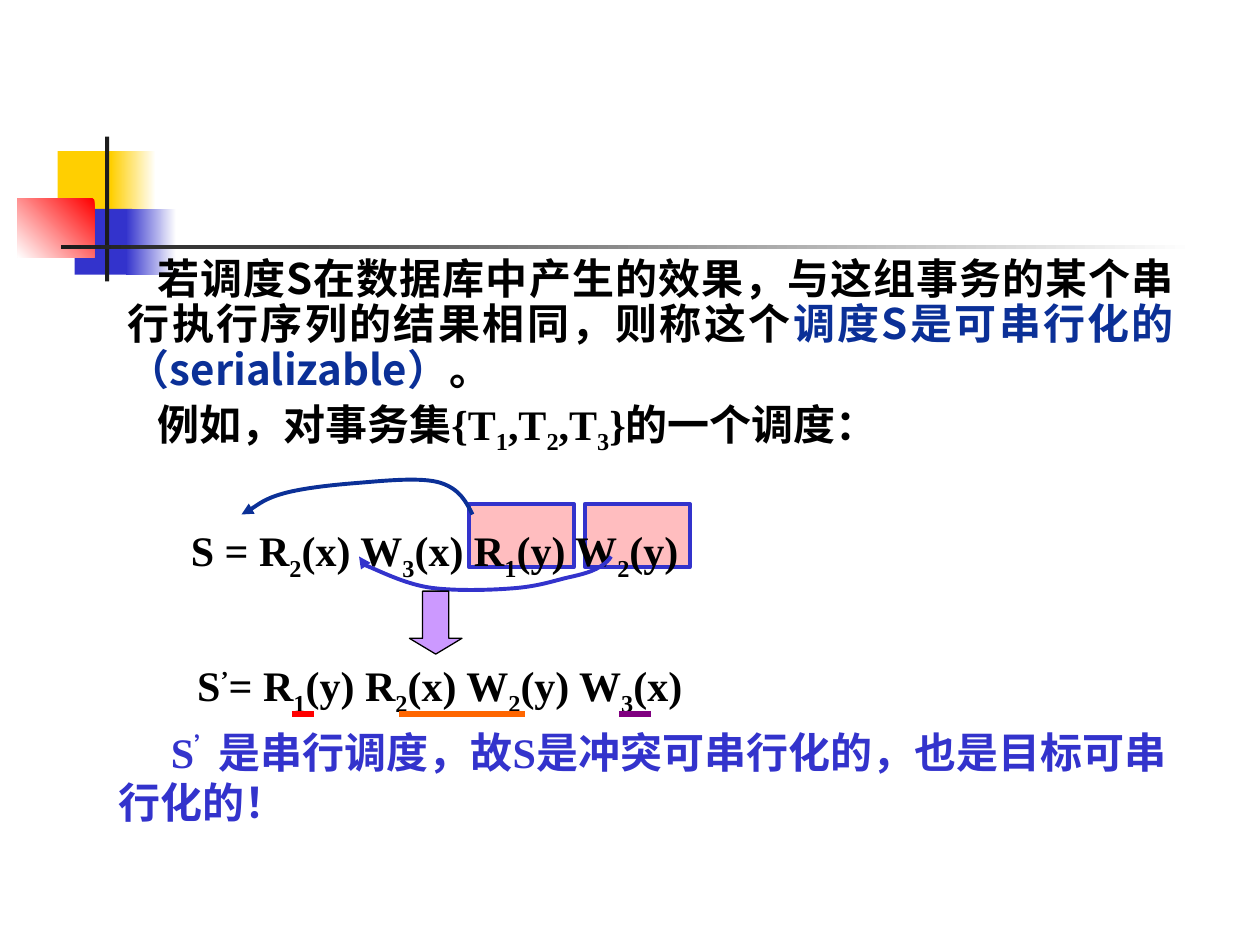
from lxml.etree import SubElement
from pptx import Presentation
from pptx.dml.color import RGBColor
from pptx.enum.shapes import MSO_CONNECTOR, MSO_SHAPE
from pptx.enum.text import MSO_AUTO_SIZE, PP_ALIGN
from pptx.oxml.ns import qn
from pptx.util import Inches, Pt

COLORS = {
    "white": "FFFFFF", "black": "000000", "ink": "1C1C1C", "yellow": "FFCF01",
    "blue": "3333CC", "navy": "0B3097", "red": "FF0000", "pink": "FF7C80",
    "lilac": "CC99FF", "orange": "FF6600", "purple": "800080",
}
COLS, ROWS = 120, 90
WIDTH, HEIGHT = Inches(10), Inches(7.5)
CJK, LATIN = "Noto Sans CJK SC", "Times New Roman"


def rgb(name):
    """Return the named palette colour."""
    return RGBColor.from_string(COLORS[name])


def cells(x, y):
    """Convert grid columns and rows to slide lengths."""
    return round(x * WIDTH / COLS), round(y * HEIGHT / ROWS)


def set_line(line, color, width):
    """Give an outline its colour and width in points."""
    line.color.rgb = rgb(color)
    line.width = Pt(width)


def add_block(s, at, color, shape=MSO_SHAPE.RECTANGLE, line=None, alpha=None):
    """Add a solid preset shape with an optional outline and opacity."""
    sp = s.shapes.add_shape(shape, *cells(*at[:2]), *cells(*at[2:]))
    sp.shadow.inherit = False
    sp.fill.solid()
    sp.fill.fore_color.rgb = rgb(color)
    if alpha:
        clr = sp.fill._xPr.find(qn("a:solidFill"))[0]
        SubElement(clr, qn("a:alpha")).set("val", str(alpha * 1000))
    if line:
        set_line(sp.line, *line)
    else:
        sp.line.fill.background()
    return sp


def add_fade(s, at, start, end, angle=180):
    """Add a rectangle with a two-colour linear gradient."""
    sp = add_block(s, at, start)
    sp.fill.gradient()
    sp.fill.gradient_angle = angle
    for stop, color, position in zip(sp.fill.gradient_stops, (start, end), (0, 1)):
        stop.color.rgb = rgb(color)
        stop.position = position


def add_curve(s, points, color):
    """Add an open Bezier curve that ends in an arrowhead."""
    scaled = [cells(*point) for point in points]
    builder = s.shapes.build_freeform(*scaled[0])
    builder.add_line_segments(scaled[1:], close=False)
    sp = builder.convert_to_shape()
    sp.shadow.inherit = False
    sp.fill.background()
    set_line(sp.line, color, 2.25)
    SubElement(sp.line._get_or_add_ln(), qn("a:tailEnd")).set("type", "triangle")
    path = next(sp._element.iter(qn("a:path")))
    segments = path.findall(qn("a:lnTo"))
    for i in range(0, len(segments), 3):
        bezier = SubElement(path, qn("a:cubicBezTo"))
        for segment in segments[i:i + 3]:
            bezier.append(segment[0])
            path.remove(segment)


def add_underline(s, left, right, row, color):
    """Add a thick horizontal rule."""
    line = s.shapes.add_connector(MSO_CONNECTOR.STRAIGHT, *cells(left, row), *cells(right, row))
    set_line(line.line, color, 3)
    SubElement(line._element.spPr, qn("a:effectLst"))


def add_text(s, at, wrap=True, grow=False):
    """Add an empty text box and return its frame."""
    tf = s.shapes.add_textbox(*cells(*at[:2]), *cells(*at[2:])).text_frame
    tf.word_wrap = wrap
    tf.auto_size = MSO_AUTO_SIZE.SHAPE_TO_FIT_TEXT if grow else MSO_AUTO_SIZE.NONE
    return tf


def set_font(font, name, color):
    """Set the Latin and East Asian typefaces and the colour."""
    font.name = name
    font.color.rgb = rgb(color)
    SubElement(font._element, qn("a:ea")).set("typeface", CJK)


def write(p, parts, name=LATIN, color="black", indent=0, before=0, spacing=None, align=None):
    """Fill a paragraph; bars in a part enclose subscripts and superscripts."""
    p.alignment, p.line_spacing, p.space_before = align, spacing, Pt(before)
    p._p.get_or_add_pPr().set("indent", str(cells(indent, 0)[0]))
    p.font.size, p.font.bold = Pt(24), True
    set_font(p.font, name, color)
    for text, run_name, run_color in parts:
        for i, piece in enumerate(text.split("|")):
            r = p.add_run()
            r.text = piece
            if (run_name, run_color) != (name, color):
                set_font(r.font, run_name, run_color)
            if i % 2:
                shift = -25000 if piece.isdigit() else 30000
                r.font._element.set("baseline", str(shift))


def add_decoration(s):
    """Draw the coloured squares and the crossing bars."""
    add_block(s, (5.5, 14.4, 5.75, 6.25), "yellow")
    add_fade(s, (10.55, 14.4, 4.3, 6.25), "white", "yellow")
    add_block(s, (7.1, 19.9, 5.5, 6.25), "blue")
    add_fade(s, (12, 19.9, 4.8, 6.25), "white", "blue")
    add_fade(s, (1.65, 18.95, 7.35, 5.55), "red", "white", 225)
    add_block(s, (10, 13, 0.4, 13.8), "ink")
    add_fade(s, (5.8, 23.35, 108, 0.4), "white", "ink")


def add_definition(s):
    """Write the definition and the example schedule."""
    style = {"spacing": 0.9, "align": PP_ALIGN.JUSTIFY}
    tf = add_text(s, (11, 24, 102, 22.6))
    write(tf.paragraphs[0], [
        ("若调度S在数据库中产生的效果，与这组事务的某个串行执行序列的结果相同，则称这个", CJK, "black"),
        ("调度S是可串行化的（serializable）", CJK, "navy"),
        ("。", CJK, "black"),
    ], CJK, indent=2.8, **style)
    tf = add_text(s, (11, 37.4, 102, 22.6))
    write(tf.paragraphs[0], [
        ("例如，对事务集", CJK, "black"),
        ("{T|1|,T|2|,T|3|}的一个调度：", LATIN, "black"),
    ], indent=2.8, **style)
    write(tf.add_paragraph(), [("S = R|2|(x) W|3|(x) R|1|(y) W|2|(y)", LATIN, "black")],
          indent=6, before=43, **style)


def add_swaps(s):
    """Draw the curves that move operations and the arrow to the result."""
    add_curve(s, [
        (45, 49), (44.4, 47.8), (43.8, 46.6), (42, 46), (40.2, 45.4), (36.5, 45.8), (34, 46),
        (31.5, 46.2), (28.8, 46.5), (27, 47), (25.2, 47.5), (23.7, 48.7), (23, 49),
    ], "navy")
    add_curve(s, [
        (58.2, 53), (58, 53.3), (57.8, 53.6), (57.1, 54), (56.5, 54.4), (55.5, 54.7), (54.1, 55),
        (52.8, 55.3), (51.4, 55.8), (49.2, 56), (47, 56.2), (43.6, 56.3), (41.2, 56),
        (38.8, 55.7), (36.4, 54.5), (35.2, 54), (34, 53.5), (34.1, 53.3), (34.2, 53),
    ], "blue")
    arrow = add_block(s, (39, 56.3, 5, 6), "lilac", MSO_SHAPE.DOWN_ARROW, ("black", 0.75))
    arrow.adjustments[0], arrow.adjustments[1] = 0.5, 0.3


def add_conclusion(s):
    """Write the serial schedule and the conclusion."""
    tf = add_text(s, (17.6, 62.3, 57.4, 6.1), grow=True)
    write(tf.paragraphs[0], [("S|’|= R|1|(y) R|2|(x) W|2|(y) W|3|(x)", LATIN, "black")], spacing=0.9)
    tf = add_text(s, (10.1, 68.6, 105, 10.8), wrap=False, grow=True)
    write(tf.paragraphs[0], [("S|’|是串行调度，故S是冲突可串行化的，也是目标可串", LATIN, "blue")],
          color="blue", indent=5)
    write(tf.add_paragraph(), [("行化的！", LATIN, "blue")], color="blue")
    for left, right, color in ((27.8, 29.9, "red"), (38, 50, "orange"), (59, 62, "purple")):
        add_underline(s, left, right, 68, color)


def main():
    """Build the slide and save it."""
    prs = Presentation()
    prs.slide_width, prs.slide_height = WIDTH, HEIGHT
    s = prs.slides.add_slide(prs.slide_layouts[6])
    add_decoration(s)
    for left in (55.7, 44.65):
        add_block(s, (left, 48, 10, 6), "pink", line=("blue", 2.25), alpha=50)
    add_definition(s)
    add_swaps(s)
    add_conclusion(s)
    prs.save("out.pptx")


if __name__ == "__main__":
    main()
